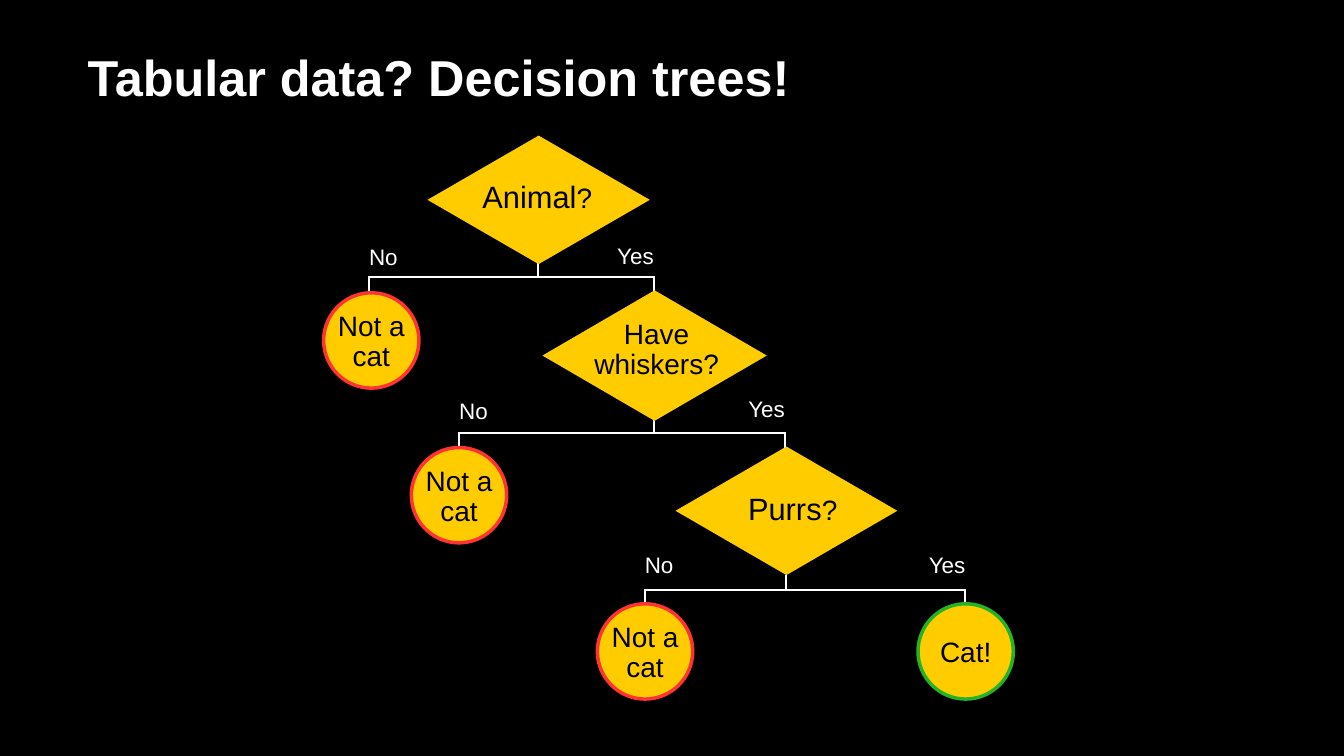
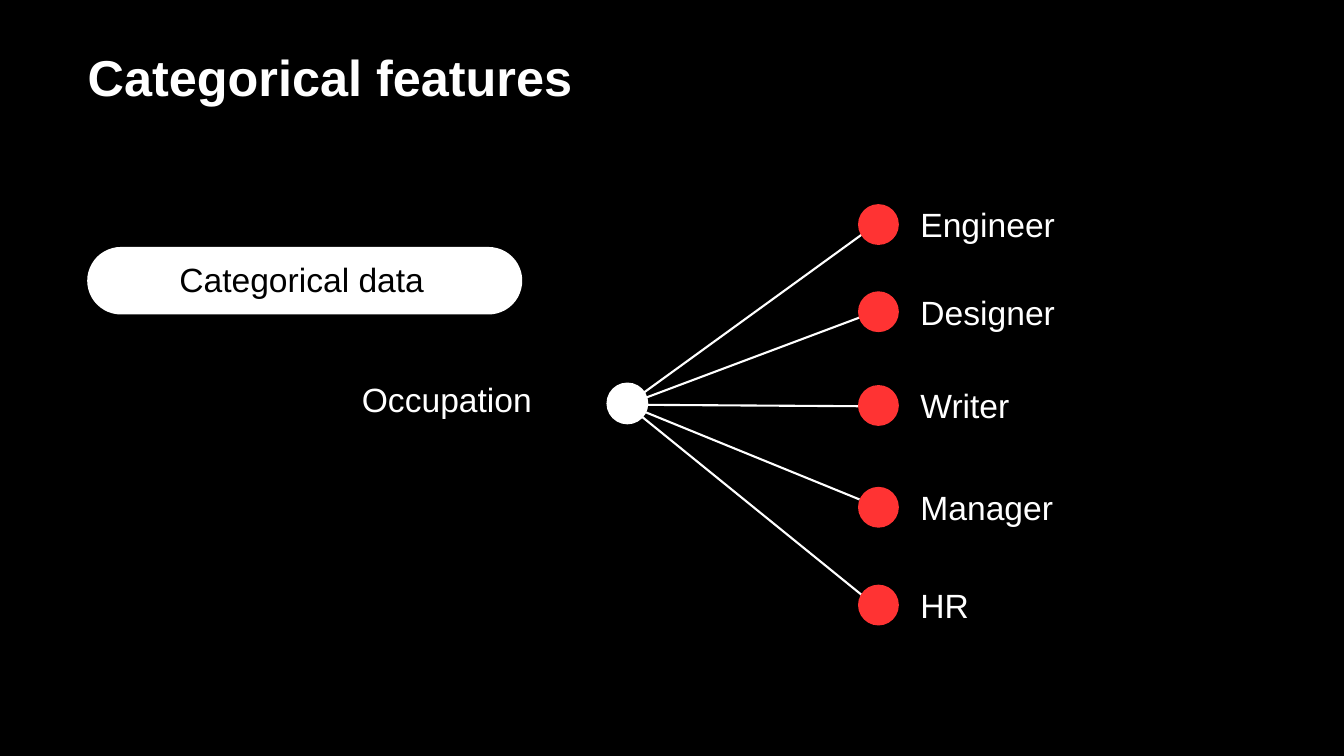
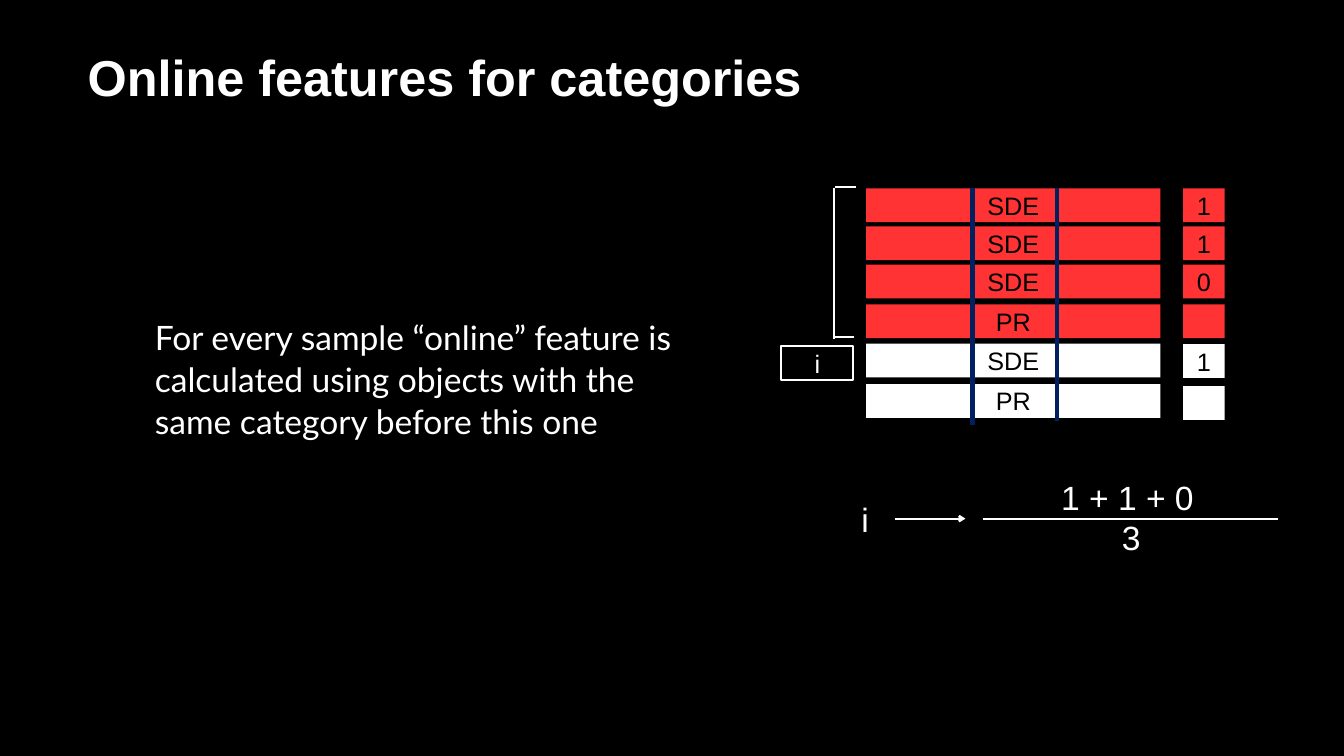
from dataclasses import dataclass

from lxml import etree
from pptx import Presentation
from pptx import util as u
from pptx.dml.color import RGBColor
from pptx.enum import shapes, text
from pptx.oxml.ns import qn

PX = 9144  # EMU per px: 100 px to the inch
SHAPE = shapes.MSO_SHAPE
ALIGN = text.PP_ALIGN
ANCHOR = text.MSO_ANCHOR


@dataclass(frozen=True)
class Theme:
    black: str = "000000"
    white: str = "FFFFFF"
    yellow: str = "FFCC00"
    red: str = "FF3333"
    green: str = "23B324"
    navy: str = "002060"
    font: str = "Arial"
    body_font: str = "Lato"
    title: int = 72
    body: int = 48
    node_big: int = 44
    node: int = 40
    cell: int = 36
    label: int = 32
    thin: int = 3
    ring: int = 5
    thick: int = 6


T = Theme()


def px(*values):
    return [u.Emu(v * PX) for v in values]


def assign(obj, values):
    for name, value in values.items():
        setattr(obj, name, value)


class Deck:
    """Holds the theme's use and the slide being built."""

    def __init__(self):
        self.prs = Presentation()
        self.prs.slide_width, self.prs.slide_height = px(2666, 1500)
        fill = self.prs.slide_master.background.fill
        fill.solid()
        fill.fore_color.rgb = RGBColor.from_string(T.black)

    def slide(self, title, layout=5):
        self.s = self.prs.slides.add_slide(self.prs.slide_layouts[layout])
        sp = self.s.shapes.title
        self.place(sp, (174, 60, 2322, 159))
        self.set_text(sp, title, T.title, insets=(0, 22, 0, 0), bold=True)

    def place(self, sp, box):
        assign(sp, dict(zip(("left", "top", "width", "height"), px(*box))))

    def set_text(self, sp, runs, size, color=T.white, align=ALIGN.LEFT,
                 anchor=ANCHOR.MIDDLE, insets=(10, 5, 10, 5), spacing=None,
                 font=T.font, bold=False):
        """Fill a shape with one paragraph; runs is a string or (string, size) pairs."""
        tf = sp.text_frame
        assign(tf, {"word_wrap": True, "auto_size": text.MSO_AUTO_SIZE.NONE,
                    "vertical_anchor": anchor})
        sides = ("margin_left", "margin_top", "margin_right", "margin_bottom")
        assign(tf, dict(zip(sides, px(*insets))))
        p = tf.paragraphs[0]
        assign(p, {"alignment": align, "line_spacing": spacing, "space_before": u.Pt(0)})
        for words, points in [(runs, size)] if isinstance(runs, str) else runs:
            r = p.add_run()
            r.text = words
            assign(r.font, {"name": font, "size": u.Pt(points), "bold": bold})
            r.font.color.rgb = RGBColor.from_string(color)
        return p

    def label(self, box, runs, size, **style):
        sp = self.s.shapes.add_textbox(*px(*box))
        self.set_text(sp, runs, size, **style)

    def shape(self, kind, box, fill=None, line=None, width=T.thin):
        sp = self.s.shapes.add_shape(kind, *px(*box))
        sp.shadow.inherit = False
        for part, color in ((sp.fill, fill), (sp.line.fill, line)):
            if color:
                part.solid()
                part.fore_color.rgb = RGBColor.from_string(color)
            else:
                part.background()
        if line:
            sp.line.width = u.Pt(width)
        return sp

    def line(self, x1, y1, x2, y2, color=T.white, width=T.thin, arrow=False):
        c = self.s.shapes.add_connector(shapes.MSO_CONNECTOR.STRAIGHT, *px(x1, y1, x2, y2))
        c.line.color.rgb = RGBColor.from_string(color)
        c.line.width = u.Pt(width)
        sp_pr = c._element.spPr
        if arrow:
            etree.SubElement(sp_pr.find(qn("a:ln")), qn("a:tailEnd"), type="arrow")
        etree.SubElement(sp_pr, qn("a:effectLst"))

    def body(self, box, words):
        sp = self.s.placeholders[1]
        self.place(sp, box)
        p = self.set_text(sp, words, T.body, insets=(0, 5, 10, 5),
                          spacing=u.Pt(60), font=T.body_font)
        p.level = 2
        p_pr = p._p.get_or_add_pPr()
        p_pr.set("marL", str(87 * PX))
        p_pr.set("indent", "0")
        etree.SubElement(p_pr, qn("a:buNone"))

    def caption(self, box, runs):
        self.label(box, runs, T.node, color=T.black, align=ALIGN.CENTER,
                   insets=(12, 12, 12, 12), spacing=0.9)

    def question(self, box, caption_box, runs):
        self.shape(SHAPE.DIAMOND, box, T.yellow)
        self.caption(caption_box, runs)

    def answer(self, x, y, words, ring, caption_box):
        """Ringed circle; caption_box is relative to its top left corner."""
        self.shape(SHAPE.OVAL, (x, y, 189, 189), T.yellow, ring, T.ring)
        dx, dy, w, h = caption_box
        self.caption((x + dx, y + dy, w, h), words)

    def fork(self, stem, y, left, right, no_top, yes_top):
        """Stem down to a bar at y, with a drop and a label at each end."""
        self.line(stem, y - 30, stem, y)
        self.line(left, y, right, y)
        for x in (left, right):
            self.line(x, y - 1, x, y + 29)
        for x, top, words, align in ((left, no_top, "No", ALIGN.LEFT),
                                     (right - 120, yes_top, "Yes", ALIGN.RIGHT)):
            self.label((x, top, 120, 100), words, T.label, align=align,
                       anchor=ANCHOR.TOP, insets=(0, 0, 0, 0))

    def cell(self, box, words, fill):
        sp = self.shape(SHAPE.RECTANGLE, box, fill)
        if words:
            self.set_text(sp, words, T.cell, T.black, ALIGN.CENTER)


def decision_tree(d):
    d.slide("Tabular data? Decision trees!")
    for fork in ((1067, 549, 732, 1297, 482, 480),
                 (1298, 859, 911, 1557, 788, 784),
                 (1560, 1170, 1279, 1915, 1094, 1094)):
        d.fork(*fork)
    d.question((848, 269, 441, 255), (901, 299, 330, 189),
               [("Animal", T.node_big), ("?", T.node)])
    d.question((1076, 576, 445, 259), (1161, 601, 283, 189), "Have whiskers?")
    d.question((1340, 886, 440, 255), (1431, 919, 283, 189),
               [("Purrs", T.node_big), ("?", T.node)])
    for x, y in ((642, 581), (816, 888), (1185, 1198)):
        d.answer(x, y, "Not a cat", T.red, (-7, 36, 203, 126))
    d.answer(1821, 1198, "Cat!", T.green, (0, 3, 189, 189))


def categorical_features(d):
    d.slide("Categorical features")
    jobs = (("Engineer", 405, 1710, 465), ("Designer", 578, 1705, 630),
            ("Writer", 764, 1703, 806), ("Manager", 966, 1705, 991),
            ("HR", 1160, 1710, 1181))
    for job, top, end_x, end_y in jobs:
        d.line(1244, 803, end_x, end_y)
        d.shape(SHAPE.OVAL, (1702, top, 81, 81), T.red)
        d.label((1816, top - 5, 680, 91), job, T.body)
    d.shape(SHAPE.OVAL, (1203, 759, 83, 83), T.white)
    d.label((708, 747, 517, 91), "Occupation", T.body)
    pill = d.shape(SHAPE.ROUNDED_RECTANGLE, (173, 490, 863, 134), T.white)
    pill.adjustments[0] = 0.5
    d.label((190, 508, 817, 91), "Categorical data", T.body,
            color=T.black, align=ALIGN.CENTER)


def online_features(d):
    d.slide("Online features for categories", layout=1)
    d.body((220, 249, 1127, 1002), "For every sample “online” feature is calculated "
           "using objects with the same category before this one")

    samples = ((374, 374, "SDE", "1", T.red), (449, 449, "SDE", "1", T.red),
               (525, 525, "SDE", "0", T.red), (604, 604, "PR", "", T.red),
               (682, 683, "SDE", "1", T.white), (762, 766, "PR", "", T.white))
    for row_top, target_top, category, target, fill in samples:
        d.cell((1718, row_top, 584, 67), category, fill)
        d.cell((2347, target_top, 82, 67), target, fill)
    for x, bottom in ((1929, 844), (2096, 835)):
        d.line(x, 374, x, bottom, T.navy, T.thick)

    for bracket in ((1654, 373, 1654, 672), (1656, 371, 1698, 371),
                    (1652, 669, 1694, 669)):
        d.line(*bracket)
    marker = d.shape(SHAPE.RECTANGLE, (1550, 687, 143, 67), line=T.white)
    d.set_text(marker, "i", T.cell, align=ALIGN.CENTER)

    for box, words in (((1574, 996, 284, 66), "i"),
                       ((1907, 952, 659, 69), "1 + 1 + 0"),
                       ((1955, 1029, 578, 72), "3")):
        d.label(box, words, T.body, align=ALIGN.CENTER)
    d.line(1949, 1029, 2536, 1029)
    d.line(1775, 1029, 1915, 1029, arrow=True)


def main():
    d = Deck()
    for build in (decision_tree, categorical_features, online_features):
        build(d)
    d.prs.save("out.pptx")


if __name__ == "__main__":
    main()
